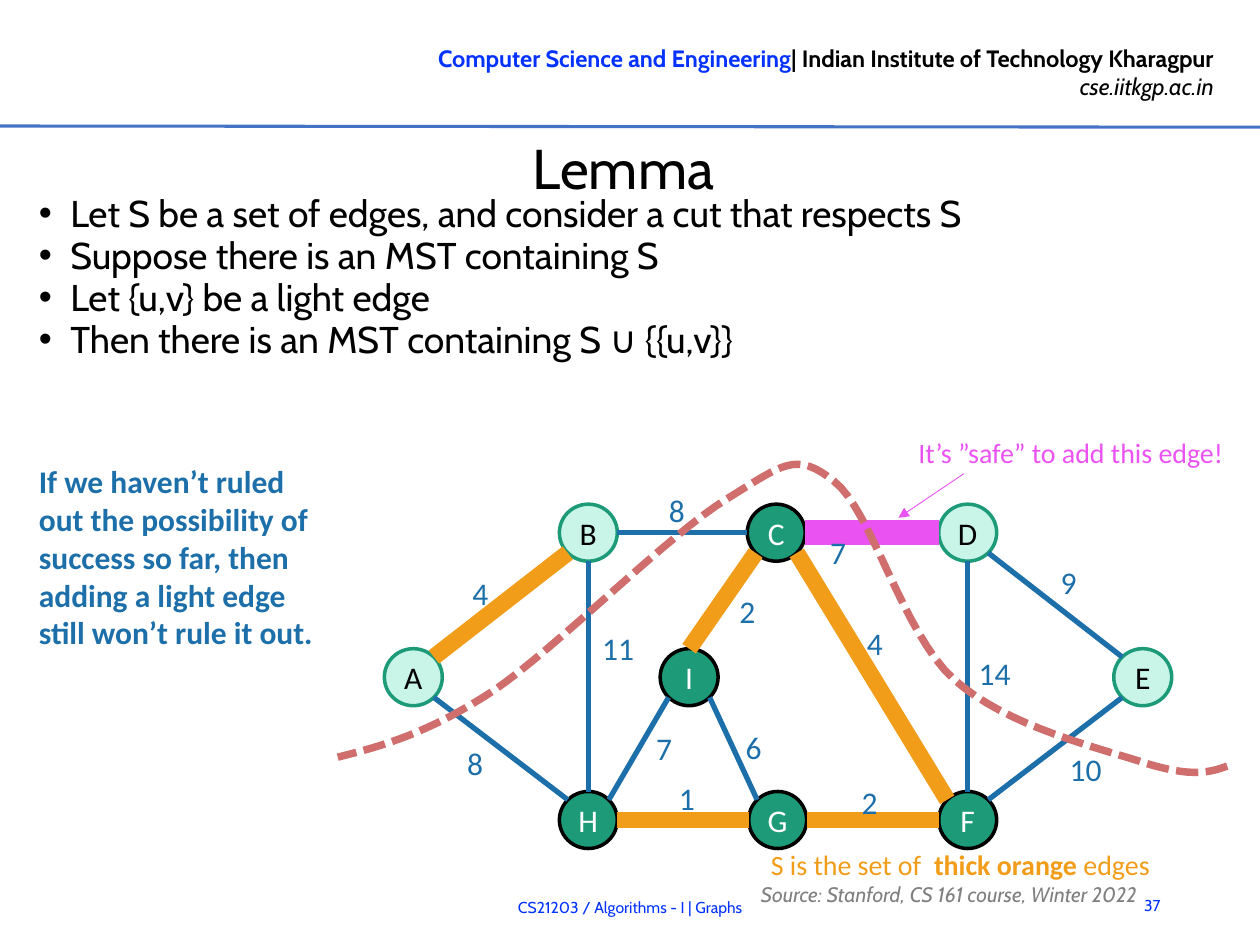
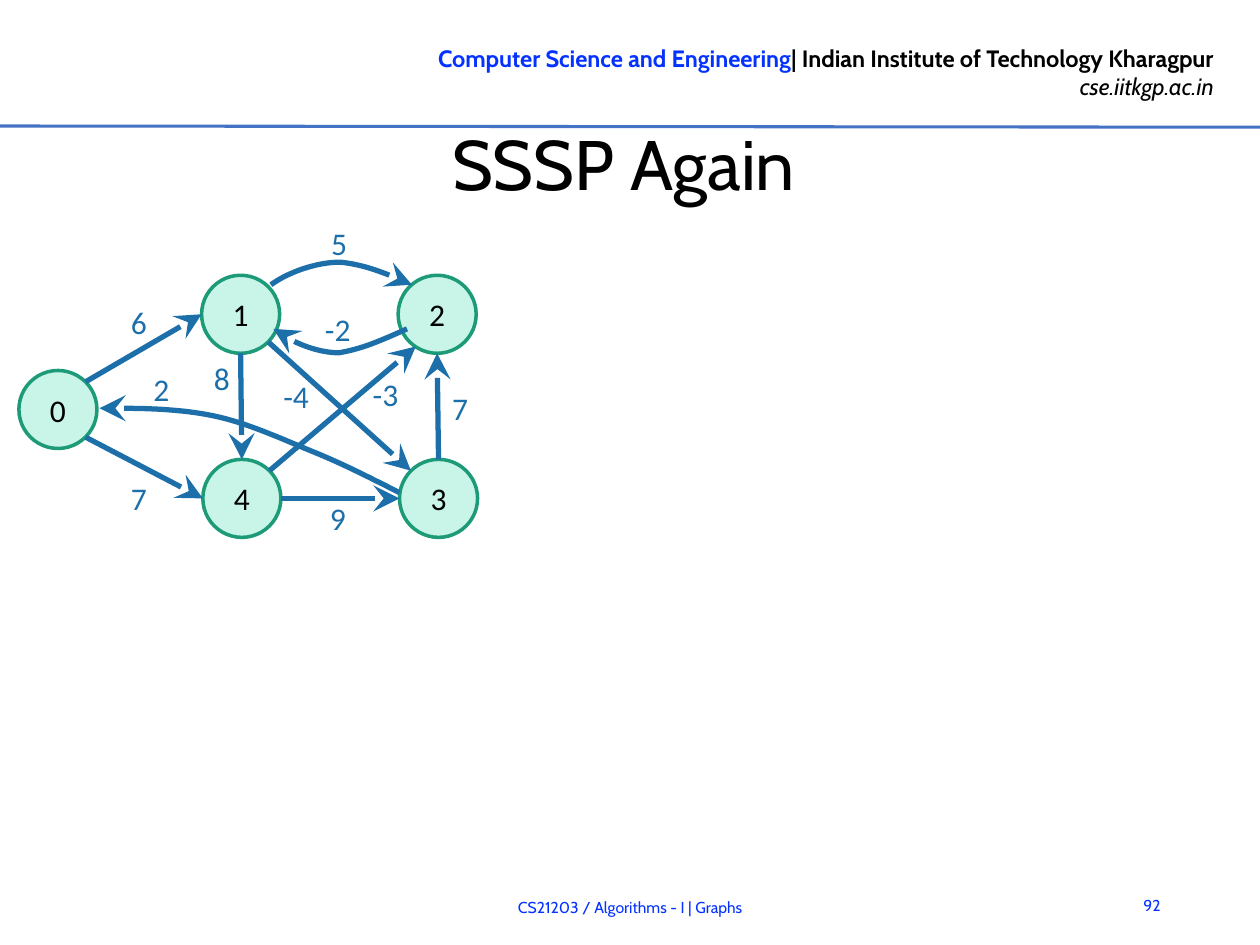
from lxml import etree
from pptx import Presentation
from pptx.dml.color import RGBColor
from pptx.enum.dml import MSO_LINE
from pptx.enum.shapes import MSO_CONNECTOR, MSO_SHAPE
from pptx.enum.text import MSO_ANCHOR, PP_ALIGN
from pptx.oxml.ns import qn
from pptx.util import Pt

LEFT, CENTER, RIGHT = PP_ALIGN.LEFT, PP_ALIGN.CENTER, PP_ALIGN.RIGHT
TOP, MIDDLE = MSO_ANCHOR.TOP, MSO_ANCHOR.MIDDLE
STRAIGHT, ELLIPSE = MSO_CONNECTOR.STRAIGHT, MSO_SHAPE.OVAL
SHORT_DASH = MSO_LINE.SQUARE_DOT

COLORS = {
    "black": "000000", "white": "FFFFFF", "link": "0432FF", "rule": "4472C4",
    "gray": "808080", "blue": "1D6FA9", "orange": "F19D19", "pink": "EA53F1",
    "mint": "C8F5E8", "green": "1D9A78", "cut": "CF6E6C",
}

HEADER = {"name": "Cabin", "size": Pt(13.5)}
FOOTER = {"name": "Cabin", "size": Pt(9), "color": "link"}
BULLET = {"name": "Cabin", "size": Pt(21.3), "color": "black"}
SOURCE = {"name": "Cabin", "size": Pt(12), "color": "gray", "italic": True}
NOTE = {"name": "Calibri", "size": Pt(16)}
GRAPH = {"name": "Calibri", "size": Pt(18), "color": "blue"}

# node kind: fill, outline, text
NODE_COLORS = {"light": ("mint", "green", "black"), "dark": ("green", "black", "white")}

# edge kind: colour, width
EDGE_STYLES = {"plain": ("blue", 3), "chosen": ("orange", 9.5), "safe": ("pink", 14)}

DIRECTIONS = {
    "n": (0, -1), "s": (0, 1), "w": (-1, 0), "e": (1, 0),
    "nw": (-0.71, -0.71), "ne": (0.71, -0.71),
    "sw": (-0.71, 0.71), "se": (0.71, 0.71),
}


def rgb(name):
    return RGBColor.from_string(COLORS[name])


def add_run(paragraph, text, style):
    run = paragraph.add_run()
    run.text = text
    for key, value in style.items():
        if key == "color":
            run.font.color.rgb = rgb(value)
        else:
            setattr(run.font, key, value)


def add_text(slide, box, paragraphs, align=LEFT, anchor=TOP, inset=None):
    """Each paragraph is a list of (text, style) runs."""
    frame = slide.shapes.add_textbox(*map(Pt, box)).text_frame
    frame.word_wrap = True
    frame.vertical_anchor = anchor
    if inset is not None:
        for side in ("left", "top", "right", "bottom"):
            setattr(frame, f"margin_{side}", Pt(inset))
    for index, runs in enumerate(paragraphs):
        paragraph = frame.paragraphs[0] if index == 0 else frame.add_paragraph()
        paragraph.alignment = align
        for text, style in runs:
            add_run(paragraph, text, style)
    return frame


def add_bullets(slide, box, items):
    frame = add_text(slide, box, [[(item, BULLET)] for item in items])
    for index, paragraph in enumerate(frame.paragraphs):
        properties = paragraph._p.get_or_add_pPr()
        properties.set("marL", str(Pt(18)))
        properties.set("indent", str(-Pt(18)))
        font = etree.SubElement(properties, qn("a:buFont"))
        font.set("typeface", "Arial")
        etree.SubElement(properties, qn("a:buChar")).set("char", "•")
        paragraph.line_spacing = Pt(20)
        paragraph.space_before = Pt(2 if index else 0)
        paragraph.space_after = Pt(2)


def style_line(line, color, width, arrow=None, size="med"):
    line.color.rgb = rgb(color)
    line.width = Pt(width)
    if arrow:
        tail = etree.SubElement(line._get_or_add_ln(), qn("a:tailEnd"))
        for key, value in {"type": arrow, "w": size, "len": size}.items():
            tail.set(key, value)


def add_line(slide, start, end, color, width, arrow=None, size="med"):
    connector = slide.shapes.add_connector(STRAIGHT, *map(Pt, (*start, *end)))
    style_line(connector.line, color, width, arrow, size)
    etree.SubElement(connector._element.spPr, qn("a:effectLst"))


def bezier(points, steps=16):
    """Points along a chain of cubic curves: a start, then three points per curve."""
    yield points[0]
    for first in range(0, len(points) - 1, 3):
        curve = points[first:first + 4]
        for step in range(1, steps + 1):
            t = step / steps
            weights = ((1 - t) ** 3, 3 * t * (1 - t) ** 2, 3 * t * t * (1 - t), t ** 3)
            yield tuple(sum(w * p[axis] for w, p in zip(weights, curve)) for axis in (0, 1))


def add_curve(slide, points, color, width, arrow=None, size="med", dash=None):
    start, *rest = [(Pt(x), Pt(y)) for x, y in bezier(points)]
    builder = slide.shapes.build_freeform(*start, scale=1.0)
    builder.add_line_segments(rest, close=False)
    curve = builder.convert_to_shape()
    curve.shadow.inherit = False
    curve.fill.background()
    if dash:
        curve.line.dash_style = dash
    style_line(curve.line, color, width, arrow, size)


def add_node(slide, name, center, size, kind):
    fill, outline, text_color = NODE_COLORS[kind]
    (x, y), (width, height) = center, size
    node = slide.shapes.add_shape(
        ELLIPSE, Pt(x - width / 2), Pt(y - height / 2), Pt(width), Pt(height))
    node.shadow.inherit = False
    node.fill.solid()
    node.fill.fore_color.rgb = rgb(fill)
    style_line(node.line, outline, 2)
    frame = node.text_frame
    frame.word_wrap = False
    frame.vertical_anchor = MIDDLE
    paragraph = frame.paragraphs[0]
    paragraph.alignment = CENTER
    add_run(paragraph, name, {**GRAPH, "color": text_color})


def node_site(center, size, direction):
    """The point on a node's rim in a compass direction."""
    return tuple(c + d * s / 2 for c, d, s in zip(center, DIRECTIONS[direction], size))


def add_weights(slide, weights, size):
    for text, x, y in weights:
        add_text(slide, (x, y, *size), [[(text, GRAPH)]])


def add_base_slide(deck, title, title_size, title_box, number):
    slide = deck.slides.add_slide(deck.slide_layouts[6])
    add_text(slide, (190.8, 21.6, 509.8, 40.3), [
        [("Computer Science and Engineering", {**HEADER, "bold": True, "color": "link"}),
         ("| Indian Institute of Technology Kharagpur",
          {**HEADER, "bold": True, "color": "black"})],
        [("cse.iitkgp.ac.in", {**HEADER, "italic": True, "color": "black"})],
    ], RIGHT)
    add_line(slide, (0, 72), (720, 72.7), "rule", 1.75)
    add_text(slide, (635, 502.6, 35.3, 28.8), [[(number, FOOTER)]], RIGHT, MIDDLE)
    title_style = {"name": "Cabin", "size": Pt(title_size), "color": "black"}
    add_text(slide, title_box, [[(title, title_style)]], CENTER, MIDDLE, 0)
    add_text(slide, (118.8, 504, 482.4, 28.8),
             [[("CS21203 / Algorithms - I | Graphs", FOOTER)]], CENTER, MIDDLE)
    return slide


def build_lemma(deck):
    slide = add_base_slide(deck, "Lemma", 32, (23, 75.6, 666.7, 39.6), "37")
    add_bullets(slide, (15.1, 110.9, 674.6, 103.7), [
        "Let S be a set of edges, and consider a cut that respects S",
        "Suppose there is an MST containing S",
        "Let {u,v} be a light edge",
        "Then there is an MST containing S ∪ {{u,v}}",
    ])
    source = add_text(slide, (427.7, 499, 289.4, 16.6),
                      [[("Source: Stanford, CS 161 course, Winter 2022", SOURCE)]],
                      anchor=MIDDLE)
    source.paragraphs[0].line_spacing = Pt(21.3)
    orange = {**NOTE, "color": "orange"}
    add_text(slide, (433.4, 481, 262.8, 26.6), [[
        ("S is the set of  ", orange),
        ("thick orange ", {**orange, "bold": True}),
        ("edges", orange),
    ]])

    size = (33.1, 32.6)
    upper, middle, lower = 304.4, 387, 468.6
    nodes = {
        "D": (553, upper), "C": (443.6, upper), "B": (336.2, upper),
        "A": (236.2, middle), "H": (336.2, lower), "G": (444.4, lower),
        "F": (553, lower), "I": (393.8, middle), "E": (653, middle),
    }
    for name, center in nodes.items():
        add_node(slide, name, center, size, "light" if name in "ABDE" else "dark")

    edges = [
        ("C", "se", "F", "nw", "chosen"), ("C", "e", "D", "w", "safe"),
        ("E", "nw", "D", "se", "plain"), ("E", "sw", "F", "ne", "plain"),
        ("D", "s", "F", "n", "plain"), ("I", "se", "G", "nw", "plain"),
        ("G", "e", "F", "w", "chosen"), ("I", "n", "C", "sw", "chosen"),
        ("B", "e", "C", "w", "plain"), ("A", "ne", "B", "sw", "chosen"),
        ("A", "se", "H", "nw", "plain"), ("G", "w", "H", "e", "chosen"),
        ("I", "sw", "H", "ne", "plain"), ("H", "n", "B", "s", "plain"),
    ]
    for start, start_side, end, end_side, kind in edges:
        add_line(slide, node_site(nodes[start], size, start_side),
                 node_site(nodes[end], size, end_side), *EDGE_STYLES[kind])

    add_weights(slide, [
        ("7", 467.3, 301), ("9", 599, 318.2), ("10", 604.1, 424.8),
        ("14", 552.2, 370.1), ("4", 488.2, 352.8), ("2", 485.3, 444.2),
        ("2", 415.4, 334.8), ("1", 380.9, 441.4), ("7", 367.9, 413.3),
        ("6", 419, 412.6), ("8", 259.9, 421.9), ("11", 337, 355.7),
        ("8", 375.1, 277.2), ("4", 262.8, 324.7),
    ], (46.8, 26.6))
    add_curve(slide, [
        (701.3, 437.8), (691.2, 441.4), (681.1, 444.2), (655.2, 436.3),
        (629.3, 427.7), (575.3, 415.4), (545, 388.1),
        (515.5, 361.4), (498.2, 291.6), (476.6, 275),
        (455, 257.8), (447.8, 265), (415.4, 285.1),
        (383, 304.6), (319, 369.4), (282.2, 394.6),
        (244.8, 419), (218.9, 426.2), (193, 432.7),
    ], "cut", 4.25, dash=SHORT_DASH)
    add_text(slide, (517.7, 245.5, 196.6, 26.6),
             [[("It’s ”safe” to add this edge!", {**NOTE, "color": "pink"})]])
    add_line(slide, (550.8, 270.7), (513.4, 295.9), "pink", 0.5, "triangle")
    add_text(slide, (15.1, 260.6, 174.2, 138.2), [[(
        "If we haven’t ruled out the possibility of success so far, "
        "then adding a light edge still won’t rule it out.",
        {**GRAPH, "bold": True})]])


def build_sssp(deck):
    slide = add_base_slide(deck, "SSSP Again", 40, (23, 68.4, 666.7, 49), "92")
    size = (44.6, 44.6)
    nodes = {
        "0": (33.1, 234), "1": (137.5, 179.6), "4": (138.2, 284.8),
        "2": (249.8, 179.6), "3": (250.6, 284.8),
    }
    for name, center in nodes.items():
        add_node(slide, name, center, size, "light")

    arrow = (*EDGE_STYLES["plain"], "stealth", "lg")
    edges = [
        ("0", "ne", "1", "w"), ("0", "se", "4", "w"), ("1", "s", "4", "n"),
        ("4", "e", "3", "w"), ("3", "n", "2", "s"), ("1", "se", "3", "nw"),
    ]
    for start, start_side, end, end_side in edges:
        add_line(slide, node_site(nodes[start], size, start_side),
                 node_site(nodes[end], size, end_side), *arrow)
    add_line(slide, node_site(nodes["4"], size, "ne"), (237.6, 198), *arrow)

    three_to_zero = [
        (228.2, 281.5), (213.8, 274.3), (198.7, 266.4), (181.4, 259.2),
        (163.4, 252), (142.6, 241.9), (121.7, 237.6),
        (100.8, 233.3), (79.2, 233.3), (56.9, 233.3),
    ]
    one_to_two = [
        (154.8, 162.7), (164.9, 155.5), (180.7, 149.8), (194.4, 149.8),
        (208.1, 151.2), (218.9, 155.5), (235.4, 162.7),
    ]
    two_to_one = [
        (232.6, 187.9), (216.7, 195.1), (206.6, 199.4), (193.7, 201.6),
        (180.7, 201.6), (165.6, 195.1), (156.2, 187.9),
    ]
    for route in (three_to_zero, one_to_two, two_to_one):
        add_curve(slide, route, *arrow)

    add_weights(slide, [
        ("6", 67.7, 169.9), ("7", 67.7, 270), ("8", 115.2, 201.6),
        ("2", 80.6, 208.1), ("5", 182.2, 124.6), ("9", 181.4, 281.5),
        ("7", 251.3, 218.9),
    ], (24.5, 28.8))
    add_weights(slide, [
        ("-2", 178.6, 173.5), ("-3", 205.9, 211), ("-4", 154.8, 211.7),
    ], (35.3, 28.8))


def main():
    deck = Presentation()
    deck.slide_width, deck.slide_height = Pt(720), Pt(540)
    build_lemma(deck)
    build_sssp(deck)
    deck.save("out.pptx")


if __name__ == "__main__":
    main()
